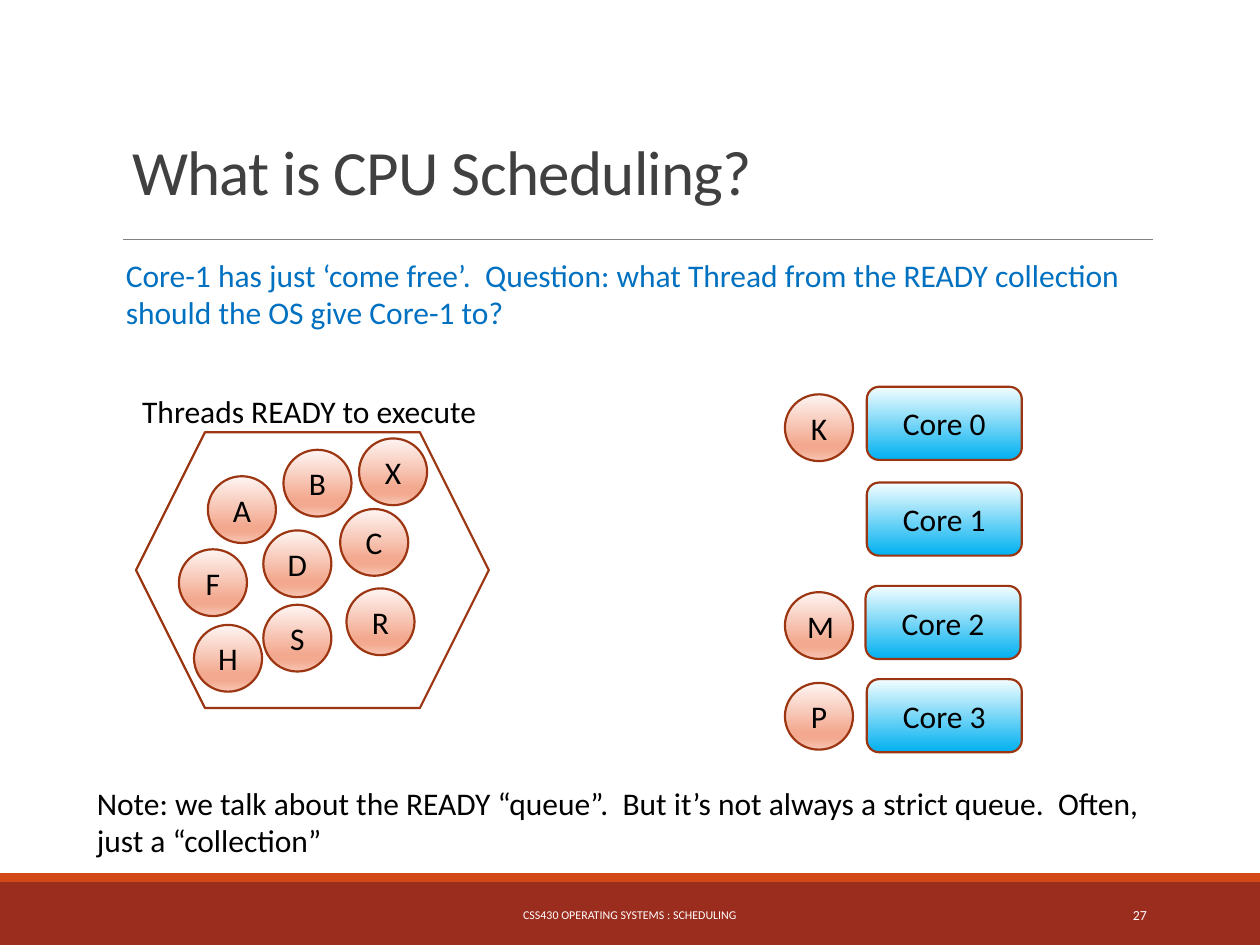
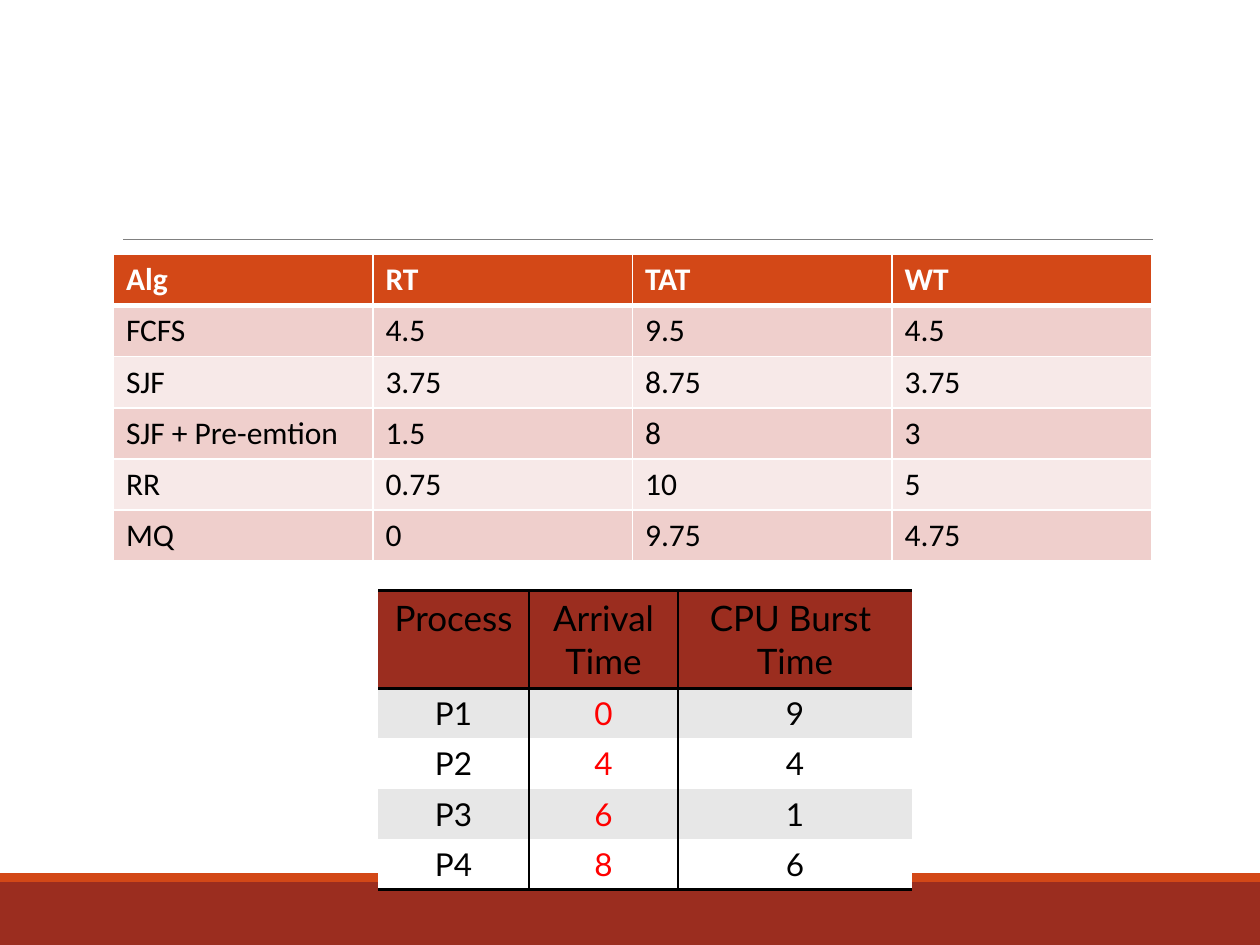
from lxml.etree import SubElement
from pptx import Presentation
from pptx.dml.color import RGBColor
from pptx.enum.shapes import MSO_CONNECTOR as Connector, MSO_SHAPE as Shape
from pptx.enum.text import MSO_ANCHOR as Anchor, MSO_AUTO_SIZE as AutoSize, PP_ALIGN as Align
from pptx.oxml.ns import qn
from pptx.util import Pt

SCALE = 9144  # EMU in one px, 100 px to the inch
FONT = "Calibri"
BRICK, ORANGE, RUST = "9B2D1F", "D34817", "9C3511"
WHITE, BLACK, RED, BLUE = "FFFFFF", "000000", "FF0000", "0070C0"
RULE_GREY, TITLE_GREY = "808080", "404040"
PINKS = ("EFCFCC", "F7E9E8")
GREYS = ("E7E7E7", WHITE)
THREAD_FILL = [(0, "FEF5F3"), (74, "F3A98F"), (83, "F3A98F"), (100, "F7C6B4")]
CORE_FILL = [(0, "F3FEFF"), (100, "00B0F0")]

READY_THREADS = {"A": (165, 378), "F": (142, 436), "S": (209, 480),
                 "C": (270, 404), "B": (225, 357), "D": (209, 421),
                 "H": (154, 496), "R": (275, 467), "X": (285, 348)}
RUNNING_THREADS = {"M": (623, 470), "P": (623, 542), "K": (623, 313)}
CORES = {"Core 0": (688, 307), "Core 1": (688, 383),
         "Core 2": (687, 465), "Core 3": (688, 539)}

ALGORITHMS = [("Alg", "RT", "TAT", "WT"),
              ("FCFS", "4.5", "9.5", "4.5"),
              ("SJF", "3.75", "8.75", "3.75"),
              ("SJF + Pre-emtion", "1.5", "8", "3"),
              ("RR", "0.75", "10", "5"),
              ("MQ", "0", "9.75", "4.75")]
PROCESSES = [("Process", "Arrival\nTime", "CPU Burst \nTime"),
             ("P1", "0", "9"),
             ("P2", "4", "4"),
             ("P3", "6", "1"),
             ("P4", "8", "6")]


def px(*lengths):
    return [length * SCALE for length in lengths]


def color(hex_code):
    return RGBColor.from_string(hex_code)


def apply(target, values):
    for name, value in values.items():
        setattr(target, name, value)


def fill_solid(fill, hex_code):
    fill.solid()
    fill.fore_color.rgb = color(hex_code)


def fill_gradient(fill, shape, stops):
    """Top-to-bottom gradient through (percent, colour) stops."""
    fill.gradient()
    fill.gradient_angle = 270
    stop_list = shape._element.spPr.find(".//" + qn("a:gsLst"))
    stop_list.clear()
    for percent, hex_code in stops:
        stop = SubElement(stop_list, qn("a:gs"), pos=str(percent * 1000))
        SubElement(stop, qn("a:srgbClr"), val=hex_code)


def draw_border(cell, side, width, hex_code):
    """Line of one cell side (L, R, T or B); width 0 hides it."""
    line = SubElement(cell._tc.get_or_add_tcPr(), qn(f"a:ln{side}"), w=str(Pt(width)))
    if width:
        paint = SubElement(line, qn("a:solidFill"))
        SubElement(paint, qn("a:srgbClr"), val=hex_code)
    else:
        SubElement(line, qn("a:noFill"))


class SlideBuilder:
    def __init__(self, deck):
        self.deck = deck
        self.page = None

    def new_page(self):
        self.page = self.deck.slides.add_slide(self.deck.slide_layouts[6])
        self.shape(Shape.RECTANGLE, (0, 700, 1000, 50), BRICK)
        self.shape(Shape.RECTANGLE, (0, 693, 1000, 7), ORANGE)
        self.rule(98, 190, 915)

    def set_text(self, frame, text, size=18, hex_code=BLACK, font=FONT, bold=False,
                 align=Align.LEFT, line_spacing=None, tracking=None):
        for index, line in enumerate(text.split("\n")):
            para = frame.add_paragraph() if index else frame.paragraphs[0]
            apply(para, {"alignment": align, "line_spacing": line_spacing})
            span = para.add_run()
            span.text = line
            apply(span.font, {"name": font, "size": Pt(size), "bold": bold})
            span.font.color.rgb = color(hex_code)
            if tracking:
                span._r.get_or_add_rPr().set("spc", str(tracking))

    def text(self, at, text, anchor=Anchor.TOP, grow=False, **style):
        frame = self.page.shapes.add_textbox(*px(*at)).text_frame
        fit = AutoSize.SHAPE_TO_FIT_TEXT if grow else AutoSize.NONE
        apply(frame, {"word_wrap": True, "vertical_anchor": anchor, "auto_size": fit})
        self.set_text(frame, text, **style)

    def shape(self, kind, at, fill=None, outline=None, label=None):
        """Preset shape; fill is a colour, a list of gradient stops or None."""
        box = self.page.shapes.add_shape(kind, *px(*at))
        box.shadow.inherit = False
        if fill is None:
            box.fill.background()
        elif isinstance(fill, str):
            fill_solid(box.fill, fill)
        else:
            fill_gradient(box.fill, box, fill)
        if outline:
            box.line.color.rgb = color(outline)
            box.line.width = Pt(1.25)
        else:
            box.line.fill.background()
        if label:
            box.text_frame.vertical_anchor = Anchor.MIDDLE
            self.set_text(box.text_frame, label, align=Align.CENTER)

    def rule(self, left, top, right):
        line = self.page.shapes.add_connector(Connector.STRAIGHT, *px(left, top, right, top))
        line.line.color.rgb = color(RULE_GREY)
        line.line.width = Pt(0.5)
        SubElement(line._element.spPr, qn("a:effectLst"))

    def threads(self, places):
        for name, (left, top) in places.items():
            self.shape(Shape.OVAL, (left, top, 54, 53), THREAD_FILL, RUST, name)

    def table(self, left, top, rows, widths, heights, header_fill, bands,
              border, h_edges, v_edges, style):
        """Table with one border width per grid line; style(row, col) formats the text."""
        frame = self.page.shapes.add_table(
            len(rows), len(widths), *px(left, top, sum(widths), sum(heights)))
        grid = frame.table
        apply(grid, {"first_row": False, "horz_banding": False})
        for column, width in zip(grid.columns, px(*widths)):
            column.width = width
        for r, (values, height) in enumerate(zip(rows, px(*heights))):
            grid.rows[r].height = height
            for c, value in enumerate(values):
                cell = grid.cell(r, c)
                edges = {"L": v_edges[c], "R": v_edges[c + 1],
                         "T": h_edges[r], "B": h_edges[r + 1]}
                for side, width in edges.items():
                    draw_border(cell, side, width, border)
                fill_solid(cell.fill, bands[(r - 1) % 2] if r else header_fill)
                self.set_text(cell.text_frame, value, **style(r, c))


def algorithm_style(row, col):
    return {} if row else {"hex_code": WHITE, "bold": True}


def process_style(row, col):
    return {"font": "Lato", "align": Align.CENTER, "size": 18 if row else 20,
            "hex_code": RED if row and col == 1 else BLACK}


def build_scheduling_page(builder):
    builder.new_page()
    builder.text((95, 67, 825, 103), "What is CPU Scheduling?", Anchor.BOTTOM,
                 size=36, hex_code=TITLE_GREY, line_spacing=0.85, tracking=-40)
    builder.text((302, 706, 396, 40), "CSS430 OPERATING SYSTEMS : SCHEDULING",
                 Anchor.MIDDLE, size=6.8, hex_code=WHITE, align=Align.CENTER)
    builder.text((812, 706, 108, 40), "27", Anchor.MIDDLE,
                 size=7.9, hex_code=WHITE, align=Align.RIGHT)
    builder.threads(READY_THREADS)
    builder.shape(Shape.HEXAGON, (108, 343, 280, 219), outline=RUST)
    for name, (left, top) in CORES.items():
        builder.shape(Shape.ROUNDED_RECTANGLE, (left, top, 123, 58), CORE_FILL, RUST, name)
    builder.threads(RUNNING_THREADS)
    builder.text((103, 306, 334, 40), "Threads READY to execute", grow=True)
    builder.text((67, 617, 864, 71),
                 "Note: we talk about the READY “queue”.  But it’s not always "
                 "a strict queue.  Often, just a “collection”", grow=True)
    builder.text((90, 198, 817, 71),
                 "Core-1 has just ‘come free’.  Question: what Thread from the READY "
                 "collection should the OS give Core-1 to?", grow=True, hex_code=BLUE)


def build_results_page(builder):
    builder.new_page()
    builder.table(90, 202, ALGORITHMS, [206] * 4, [40] * 6, ORANGE, PINKS,
                  WHITE, [1, 3, 1, 1, 1, 1, 1], [1] * 5, algorithm_style)
    builder.table(300, 469, PROCESSES, [120, 118, 186], [67] + [28] * 4, BRICK, GREYS,
                  BLACK, [2, 2, 0, 0, 0, 2], [0, 1, 1, 0], process_style)


def main():
    deck = Presentation()
    deck.slide_width, deck.slide_height = px(1000, 750)
    builder = SlideBuilder(deck)
    build_scheduling_page(builder)
    build_results_page(builder)
    deck.save("out.pptx")


if __name__ == "__main__":
    main()
